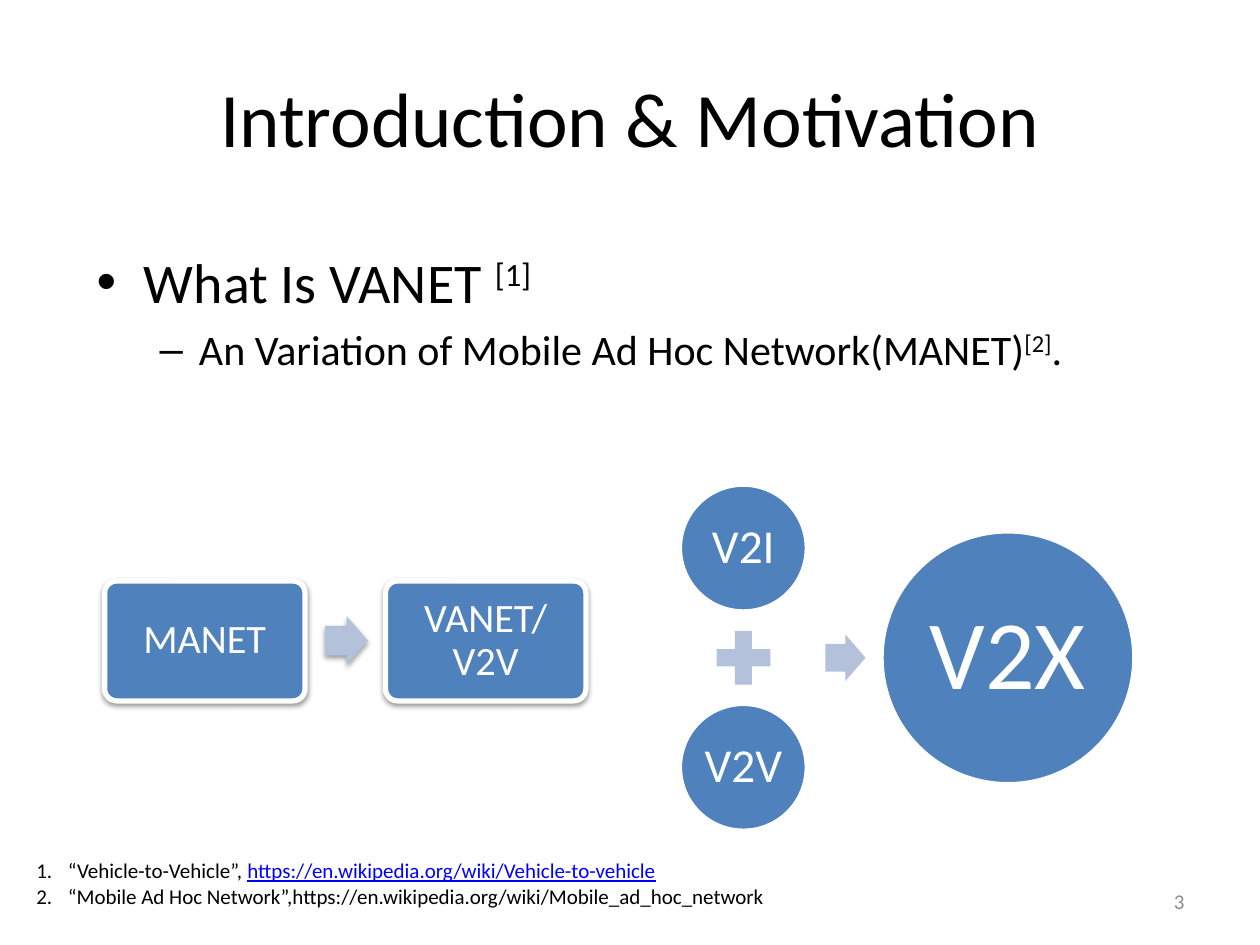
from dataclasses import dataclass
from lxml import etree
from pptx import Presentation
from pptx import util as u
from pptx.dml.color import RGBColor
from pptx.enum import shapes, text
from pptx.oxml.ns import qn

HUES = {"blue": "4F81BD", "pale": "B3C1DB", "white": "FFFFFF",
        "black": "000000", "gray": "8C8C8C", "link": "0000FF"}
FONT = "Calibri"
KIND = shapes.MSO_SHAPE


@dataclass
class Node:
    kind: int
    x: float
    y: float
    w: float
    h: float
    hue: str = "blue"
    label: str = ""
    size: float = 0
    pad: float = 0
    edge: float = 0
    adj: tuple = ()
    shade: bool = False
    wrap: bool = False


def tint(hue: str) -> RGBColor:
    return RGBColor.from_string(HUES[hue])


def add_run(para, words: str, size: float, hue: str = "black",
            raised: bool = False, under: bool = False) -> None:
    run = para.add_run()
    run.text = words
    font = run.font
    font.name, font.size = FONT, u.Pt(size)
    font.color.rgb = tint(hue)
    if under:
        font.underline = True
    if raised:
        run._r.get_or_add_rPr().set("baseline", "30000")


def add_shade(shape) -> None:
    effects = shape._element.spPr.find(qn("a:effectLst"))
    outer = etree.SubElement(effects, qn("a:outerShdw"), blurRad=str(u.Pt(3.1)),
                             dist=str(u.Pt(1.6)), dir="5400000", rotWithShape="0")
    color = etree.SubElement(outer, qn("a:srgbClr"), val=HUES["black"])
    etree.SubElement(color, qn("a:alpha"), val="38000")


def draw_node(group, node: Node) -> None:
    shape = group.shapes.add_shape(
        node.kind, u.Pt(node.x), u.Pt(node.y), u.Pt(node.w), u.Pt(node.h))
    shape.shadow.inherit = False
    shape.fill.solid()
    shape.fill.fore_color.rgb = tint(node.hue)
    for i, value in enumerate(node.adj):
        shape.adjustments[i] = value
    if node.edge:
        shape.line.color.rgb = tint("white")
        shape.line.width = u.Pt(node.edge)
    else:
        shape.line.fill.background()
    if node.shade:
        add_shade(shape)
    if node.label:
        frame = shape.text_frame
        frame.word_wrap = node.wrap
        frame.vertical_anchor = text.MSO_ANCHOR.MIDDLE
        frame.margin_left = frame.margin_right = u.Pt(node.pad)
        frame.margin_top = frame.margin_bottom = u.Pt(node.pad)
        para = frame.paragraphs[0]
        para.alignment = text.PP_ALIGN.CENTER
        para.line_spacing = 0.9
        add_run(para, node.label, node.size, "white")


def draw_group(slide, nodes: list[Node]) -> None:
    group = slide.shapes.add_group_shape()
    for node in nodes:
        draw_node(group, node)


def place(shape, x: float, y: float, w: float, h: float) -> None:
    shape.left, shape.top = u.Pt(x), u.Pt(y)
    shape.width, shape.height = u.Pt(w), u.Pt(h)


def add_box(slide, x: float, y: float, w: float, h: float):
    frame = slide.shapes.add_textbox(u.Pt(x), u.Pt(y), u.Pt(w), u.Pt(h)).text_frame
    frame.word_wrap = True
    return frame


def ball(x: float, y: float, d: float, label: str, size: float) -> Node:
    return Node(KIND.OVAL, x, y, d, d, label=label, size=size, pad=d / 24, edge=2)


def card(x: float, label: str) -> Node:
    return Node(KIND.ROUNDED_RECTANGLE, x, 332, 114.5, 68.5, label=label, size=23,
                pad=9, edge=3, adj=(0.1,), shade=True, wrap=True)


def arrow(x: float, y: float, w: float, h: float, shade: bool = False) -> Node:
    return Node(KIND.RIGHT_ARROW, x, y, w, h, "pale", adj=(0.6, 0.5), shade=shade)


def fill_body(body) -> None:
    place(body, 48, 138, 648, 356.4)
    frame = body.text_frame
    para = frame.paragraphs[0]
    para.space_before = u.Pt(0)
    add_run(para, "What Is VANET ", 32)
    add_run(para, "[1]", 32, raised=True)
    para = frame.add_paragraph()
    para.level = 1
    add_run(para, "An Variation of Mobile Ad Hoc Network(MANET)", 24)
    add_run(para, "[2]", 24, raised=True)
    add_run(para, ".", 24)


def add_notes(slide) -> None:
    frame = add_box(slide, 13.7, 486.7, 689, 58.3)
    notes = [
        [("“Vehicle-to-Vehicle”, ", "black", False),
         ("https://en.wikipedia.org/wiki/Vehicle-to-vehicle", "link", True)],
        [("“Mobile Ad Hoc Network”,"
          "https://en.wikipedia.org/wiki/Mobile_ad_hoc_network", "black", False)],
    ]
    for i, runs in enumerate(notes):
        para = frame.add_paragraph() if i else frame.paragraphs[0]
        props = para._p.get_or_add_pPr()
        props.set("marL", str(u.Pt(18)))
        props.set("indent", str(-u.Pt(18)))
        etree.SubElement(props, qn("a:buFont"), typeface="+mj-lt")
        etree.SubElement(props, qn("a:buAutoNum"), type="arabicPeriod")
        for words, hue, under in runs:
            add_run(para, words, 12, hue, under=under)


def main() -> None:
    deck = Presentation()
    deck.slide_width, deck.slide_height = u.Pt(720), u.Pt(540)
    slide = deck.slides.add_slide(deck.slide_layouts[1])
    title, body = slide.placeholders
    place(title, 36, 21.6, 648, 90)
    add_run(title.text_frame.paragraphs[0], "Introduction & Motivation", 44)
    fill_body(body)

    draw_group(slide, [
        ball(388.8, 277.2, 72, "V2I", 27),
        Node(KIND.MATH_PLUS, 403.9, 355, 41.8, 41.8, "pale"),
        ball(388.8, 402.5, 72, "V2V", 27),
        arrow(471.6, 362.6, 23, 26.6),
        ball(504, 303.9, 144, "V2X", 56),
    ])
    draw_group(slide, [
        card(59.8, "MANET"),
        arrow(185.8, 352.1, 24.5, 28.1, True),
        card(220.3, "VANET/V2V"),
    ])

    frame = add_box(slide, 516.2, 500.4, 167.8, 28.8)
    frame.vertical_anchor = text.MSO_ANCHOR.MIDDLE
    para = frame.paragraphs[0]
    para.alignment = text.PP_ALIGN.RIGHT
    add_run(para, "3", 12, "gray")
    add_notes(slide)
    deck.save("out.pptx")


if __name__ == "__main__":
    main()
